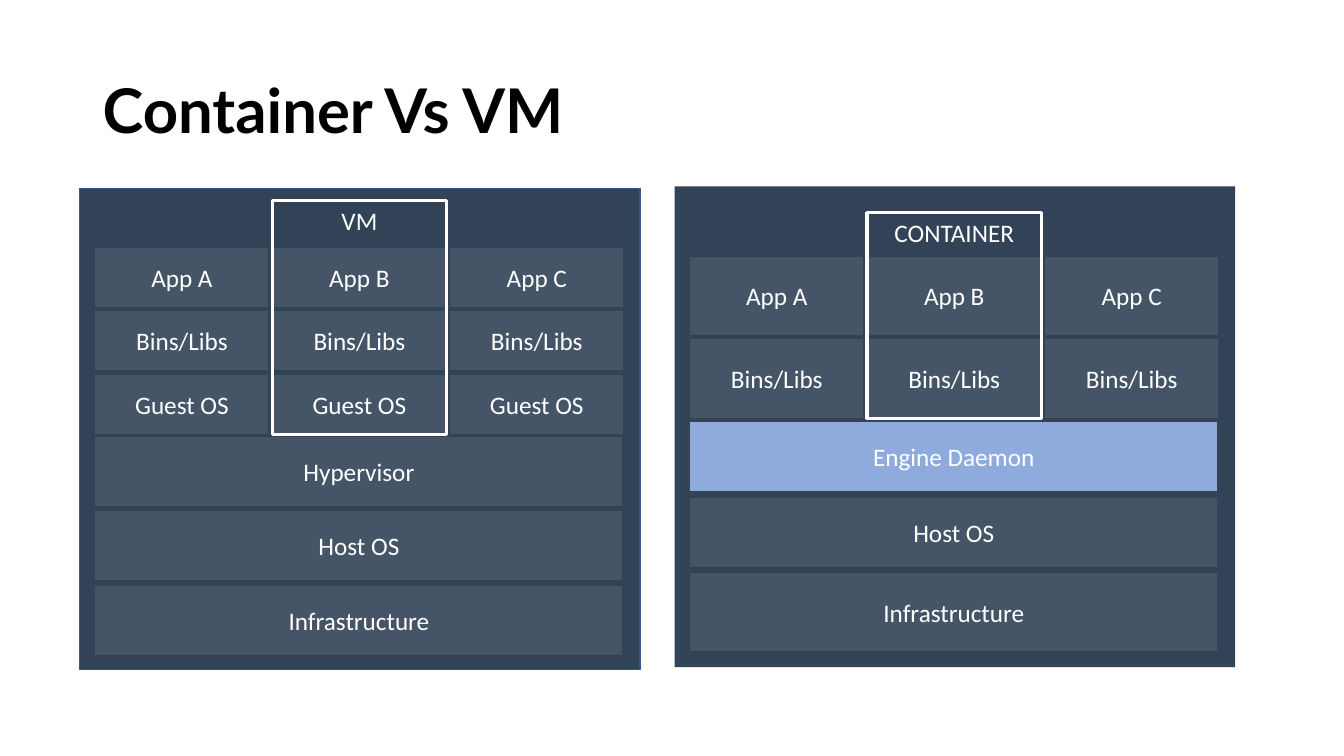
from pptx import Presentation
from pptx import util as u
from pptx.dml.color import RGBColor
from pptx.enum import shapes, text

NAVY = RGBColor(0x32, 0x43, 0x57)
SLATE = RGBColor(0x45, 0x55, 0x67)
BLUE = RGBColor(0x8F, 0xAA, 0xDC)
EDGE = RGBColor(0x32, 0x54, 0x91)
WHITE = RGBColor(0xFF, 0xFF, 0xFF)
BLACK = RGBColor(0, 0, 0)

PANEL_W, PANEL_H = 5.56, 4.77
INSET = 0.15  # from panel edge to its blocks
CELL_W, CELL_STEP = 1.73, 1.76
BAR_W, BAR_H = 5.24, 0.7


class Deck:
    """Holds the style and the current slide."""

    def __init__(self, prs):
        self.s = prs.slides.add_slide(prs.slide_layouts[6])

    def set_text(self, sp, words, font, size, color, bold=False):
        tf = sp.text_frame
        tf.word_wrap = True
        tf.text = words
        p = tf.paragraphs[0]
        f = p.runs[0].font
        f.name, f.size, f.bold = font, u.Pt(size), bold
        f.color.rgb = color
        return tf, p

    def title(self, words, x, y, w, h):
        sp = self.s.shapes.add_textbox(u.Inches(x), u.Inches(y), u.Inches(w), u.Inches(h))
        tf, p = self.set_text(sp, words, "Lato", 44, BLACK, True)
        tf.vertical_anchor = text.MSO_ANCHOR.MIDDLE
        p.line_spacing = 0.9

    def rect(self, x, y, w, h, fill=None, line=None, width=1):
        sp = self.s.shapes.add_shape(
            shapes.MSO_SHAPE.RECTANGLE, u.Inches(x), u.Inches(y), u.Inches(w), u.Inches(h))
        sp.shadow.inherit = False
        if fill is None:
            sp.fill.background()
        else:
            sp.fill.solid()
            sp.fill.fore_color.rgb = fill
        if line is None:
            sp.line.fill.background()
        else:
            sp.line.color.rgb = line
            sp.line.width = u.Pt(width)
        return sp

    def label(self, sp, words, anchor=text.MSO_ANCHOR.MIDDLE):
        tf, p = self.set_text(sp, words, "Calibri", 18, WHITE)
        tf.vertical_anchor = anchor
        p.alignment = text.PP_ALIGN.CENTER

    def block(self, words, x, y, w, h, fill=SLATE):
        self.label(self.rect(x, y, w, h, fill, NAVY), words)

    def frame(self, words, x, y, w, h):
        sp = self.rect(x, y, w, h, line=WHITE, width=2.25)
        self.label(sp, words, text.MSO_ANCHOR.TOP)

    def stack(self, x, y, edge, layers, cell_y, cell_h, bars, frame_name, frame_y):
        self.rect(x, y, PANEL_W, PANEL_H, NAVY, edge)
        left = x + INSET

        # Shared layers across the full width
        for name, bar_y, bar_h, fill in bars:
            self.block(name, left, bar_y, BAR_W, bar_h, fill)

        # One column of layers per app
        step = cell_h + 0.03
        for col, app in enumerate(("App A", "App B", "App C")):
            for row, name in enumerate([app] + layers):
                self.block(name, left + col * CELL_STEP, cell_y + row * step, CELL_W, cell_h)

        # Outline around the middle column
        bottom = cell_y + len(layers) * step + cell_h
        self.frame(frame_name, left + CELL_STEP, frame_y, CELL_W, bottom - frame_y)


def main():
    prs = Presentation()
    prs.slide_width, prs.slide_height = u.Inches(13.33), u.Inches(7.5)
    deck = Deck(prs)
    deck.title("Container Vs VM", 0.92, 0.4, 11.5, 1.45)

    # Virtual machines
    deck.stack(0.79, 1.87, EDGE, ["Bins/Libs", "Guest OS"], 2.45, 0.6,
               [("Hypervisor", 4.33, BAR_H, SLATE),
                ("Host OS", 5.06, BAR_H, SLATE),
                ("Infrastructure", 5.81, BAR_H, SLATE)], "VM", 1.99)

    # Containers
    deck.stack(6.69, 1.85, None, ["Bins/Libs"], 2.54, 0.79,
               [("Engine Daemon", 4.18, BAR_H, BLUE),
                ("Host OS", 4.93, BAR_H, SLATE),
                ("Infrastructure", 5.68, 0.79, SLATE)], "CONTAINER", 2.11)

    prs.save("out.pptx")


if __name__ == "__main__":
    main()
